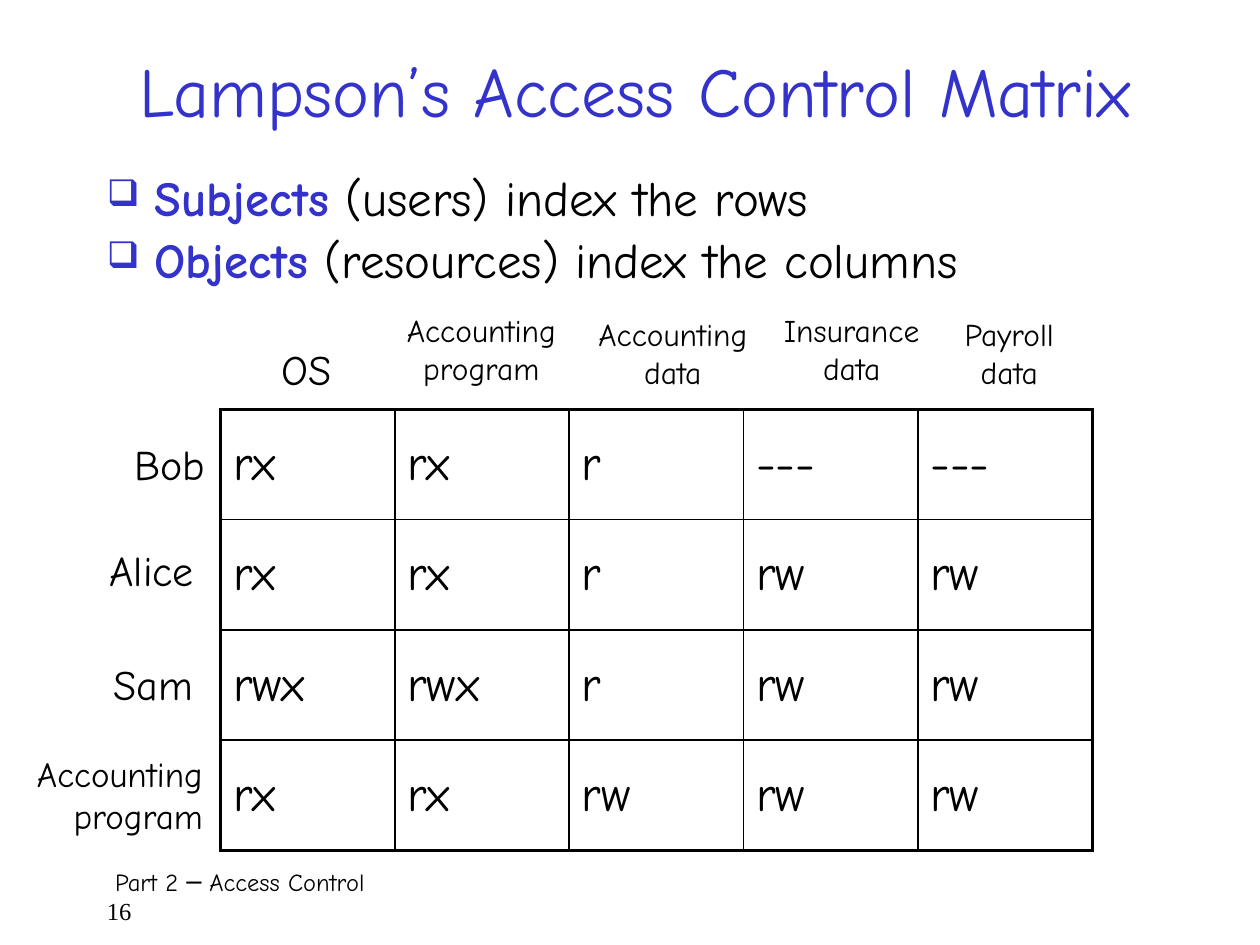
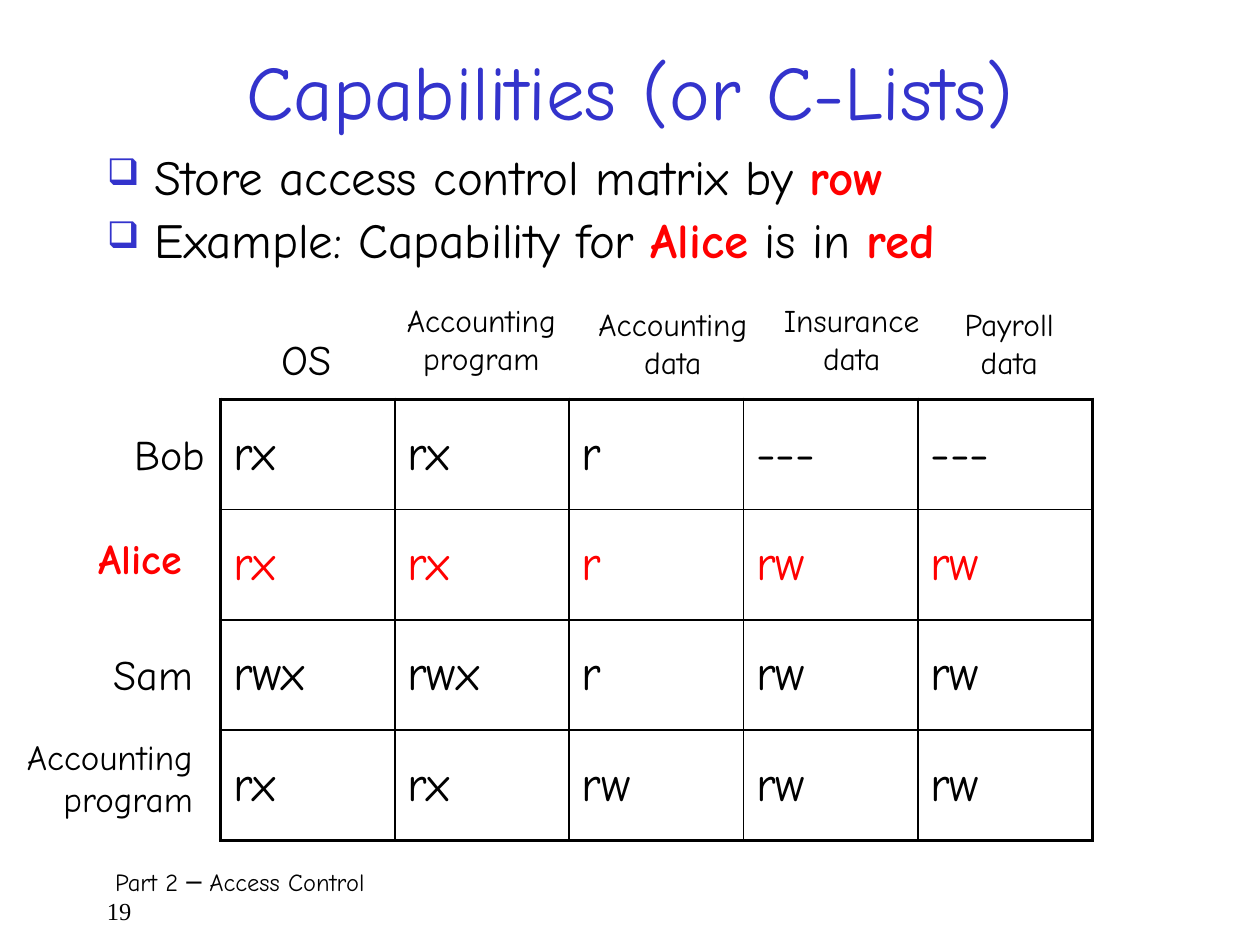
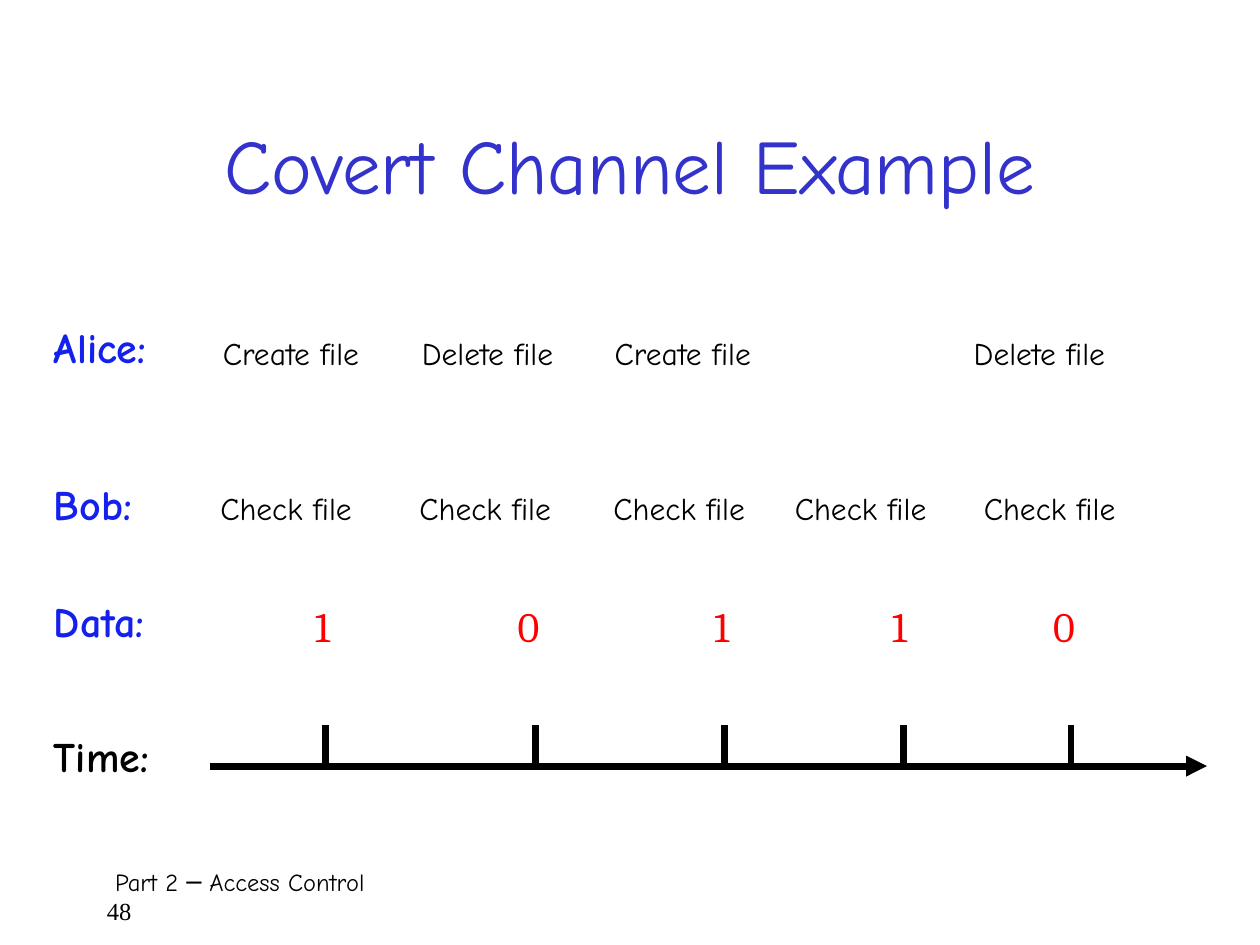
"""Build three access control slides: two access matrices and a covert channel timeline."""
from lxml.etree import SubElement
from pptx import Presentation
from pptx.dml.color import RGBColor
from pptx.enum.shapes import MSO_CONNECTOR
from pptx.enum.text import MSO_ANCHOR, MSO_AUTO_SIZE, PP_ALIGN
from pptx.oxml.ns import qn
from pptx.util import Inches, Pt

BLACK = RGBColor(0x00, 0x00, 0x00)
INDIGO = RGBColor(0x33, 0x33, 0xCC)
BLUE = RGBColor(0x13, 0x20, 0xEE)
RED = RGBColor(0xFF, 0x00, 0x00)
BASE = {"name": "Comic Neue", "size": 18, "bold": False, "color": BLACK}
STRONG = {"bold": True, "color": INDIGO}
ALERT = {"bold": True, "color": RED}
LEFT, CENTER, RIGHT = PP_ALIGN.LEFT, PP_ALIGN.CENTER, PP_ALIGN.RIGHT


def write_text(tf, paragraphs, align=LEFT, **fmt):
    """Fill a text frame with paragraphs, each a list of (text, format) runs."""
    for i, runs in enumerate(paragraphs):
        p = tf.paragraphs[0] if i == 0 else tf.add_paragraph()
        p.alignment = align
        for text, extra in runs:
            r = p.add_run()
            r.text = text
            values = {**BASE, **fmt, **extra}
            r.font.color.rgb = values.pop("color")
            values["size"] = Pt(values["size"])
            for key, value in values.items():
                setattr(r.font, key, value)


def add_text(s, box, paragraphs, wrap=False, anchor=MSO_ANCHOR.TOP, **fmt):
    """Add a text box that either wraps or grows to fit its text."""
    tf = s.shapes.add_textbox(*map(Inches, box)).text_frame
    tf.word_wrap = wrap
    tf.auto_size = MSO_AUTO_SIZE.NONE if wrap else MSO_AUTO_SIZE.SHAPE_TO_FIT_TEXT
    tf.vertical_anchor = anchor
    write_text(tf, paragraphs, **fmt)
    return tf


prs = Presentation()
prs.slide_width, prs.slide_height = Inches(10), Inches(7.5)

HEADERS = [
    ("Lampson’s Access Control Matrix", (0.33, 0.25, 9.42, 0.92), 40, "16"),
    ("Capabilities (or C-Lists)", (0.75, 0.17, 8.5, 1.08), 44, "19"),
    ("Covert Channel Example", (0.75, 0.67, 8.5, 1.25), 44, "48"),
]
slides = []
for title, box, size, number in HEADERS:
    s = prs.slides.add_slide(prs.slide_layouts[6])
    footer = [[(" Part 2 ─ Access Control", {})], [(number, {"name": "Times New Roman"})]]
    add_text(s, (0.75, 6.83, 8.58, 0.5), footer, wrap=True, size=14)
    add_text(s, box, [[(title, {})]], wrap=True, anchor=MSO_ANCHOR.MIDDLE,
             align=CENTER, size=size, color=INDIGO)
    slides.append(s)

RIGHTS = [
    ["rx", "rx", "r", "---", "---"],
    ["rx", "rx", "r", "rw", "rw"],
    ["rwx", "rwx", "r", "rw", "rw"],
    ["rx", "rx", "rw", "rw", "rw"],
]
OBJECTS = [
    (2.08, -0.57, 0.7, ["OS"], 24),
    (3.08, -0.83, 1.48, ["Accounting", "program"], 18),
    (4.6, -0.8, 1.48, ["Accounting", "data"], 18),
    (6.08, -0.83, 1.36, ["Insurance", "data"], 18),
    (7.52, -0.8, 0.98, ["Payroll", "data"], 18),
]
MATRICES = [
    {"top": 3.25, "body": (0.75, 1.33, 8.75, 1.08), "red_row": None,
     "alice": (0.77, 1.02, 0.98), "program": (0.08, 2.67, 1.63),
     "bullets": [[("Subjects", STRONG), (" (users) index the rows", {})],
                 [("Objects", STRONG), (" (resources) index the columns", {})]]},
    {"top": 3.17, "body": (0.75, 1.17, 8.5, 1.25), "red_row": 1,
     "alice": (0.68, 1.01, 0.99), "program": (0, 2.62, 1.63),
     "bullets": [[("Store access control matrix by ", {}), ("row", ALERT)],
                 [("Example: Capability for ", {}), ("Alice", ALERT),
                  (" is in ", {}), ("red", ALERT)]]},
]
for s, m in zip(slides, MATRICES):
    tf = add_text(s, m["body"], m["bullets"], wrap=True, size=28)
    for p in tf.paragraphs:
        p.line_spacing, p.space_before = 0.9, Pt(5.6)
        pPr = p._p.get_or_add_pPr()
        pPr.set("marL", str(Inches(0.38)))
        pPr.set("indent", str(-Inches(0.38)))
        SubElement(SubElement(pPr, qn("a:buClr")), qn("a:srgbClr"), val=str(INDIGO))
        SubElement(pPr, qn("a:buSzPct"), val="75000")
        SubElement(pPr, qn("a:buChar"), char="❑")

    rows, cols = len(RIGHTS), len(RIGHTS[0])
    frame = s.shapes.add_table(rows, cols, Inches(1.75), Inches(m["top"]), Inches(6.92), Inches(3.5))
    table = frame.table
    table.first_row = table.horz_banding = False
    for i, row in enumerate(RIGHTS):
        for j, right in enumerate(row):
            cell = table.cell(i, j)
            cell.vertical_anchor = MSO_ANCHOR.MIDDLE
            color = RED if i == m["red_row"] else BLACK
            write_text(cell.text_frame, [[(right, {})]], size=28, color=color)
            cell.text_frame.paragraphs[0].space_before = Pt(5.6)
            tcPr = cell._tc.get_or_add_tcPr()
            outer = {"lnL": j == 0, "lnR": j == cols - 1, "lnT": i == 0, "lnB": i == rows - 1}
            for side, is_outer in outer.items():
                ln = SubElement(tcPr, qn(f"a:{side}"), w=str(Pt(2.25 if is_outer else 1)))
                SubElement(SubElement(ln, qn("a:solidFill")), qn("a:srgbClr"), val=str(BLACK))
            cell.fill.background()

    for x, dy, w, lines, size in OBJECTS:
        add_text(s, (x, m["top"] + dy, w, 0.8 if len(lines) > 1 else 0.57),
                 [[(line, {})] for line in lines], align=CENTER, size=size)
    alice_format = {} if m["red_row"] is None else ALERT
    subjects = [("Bob", (0.97, 0.18, 0.78), {}), ("Alice", m["alice"], alice_format),
                ("Sam", (0.8, 1.93, 0.86), {})]
    for name, (x, dy, w), extra in subjects:
        add_text(s, (x, m["top"] + dy, w, 0.57), [[(name, extra)]], size=24)
    x, dy, w = m["program"]
    add_text(s, (x, m["top"] + dy, w, 0.88), [[("Accounting", {})], [("program", {})]],
             align=RIGHT, size=20)

s = slides[2]
ROW_LABELS = [("Alice:", 2.5, 1.13, BLUE), ("Bob:", 3.75, 0.93, BLUE),
              ("Data:", 4.68, 1.11, BLUE), ("Time:", 5.75, 1.12, BLACK)]
for label, y, w, color in ROW_LABELS:
    add_text(s, (0.33, y, w, 0.57), [[(label, {})]], size=24, bold=True, color=color)

STEPS = [
    ("Create file", 1.67, 1.65, "1", 2.4, 2.58),
    ("Delete file", 3.25, 3.23, "0", 4.01, 4.25),
    ("Create file", 4.78, 4.77, "1", 5.57, 5.75),
    (None, None, 6.21, "1", 6.98, 7.17),
    ("Delete file", 7.63, 7.71, "0", 8.26, 8.5),
]
time_lines = [(1.67, 6.08, 9.58, 6.08)]
for action, action_x, check_x, bit, bit_x, tick_x in STEPS:
    if action:
        add_text(s, (action_x, 2.6, 1.47, 0.45), [[(action, {})]])
    add_text(s, (check_x, 3.83, 1.37, 0.45), [[("Check file", {})]])
    add_text(s, (bit_x, 4.72, 0.39, 0.5), [[(bit, {})]], name="Cambria", size=24, color=RED)
    time_lines.append((tick_x, 6.08, tick_x, 5.75))

for i, ends in enumerate(time_lines):
    line = s.shapes.add_connector(MSO_CONNECTOR.STRAIGHT, *map(Inches, ends))
    line.line.color.rgb = BLACK
    line.line.width = Pt(4)
    if i == 0:
        SubElement(line.line._get_or_add_ln(), qn("a:tailEnd"), type="triangle")
    SubElement(line._element.spPr, qn("a:effectLst"))

prs.save("out.pptx")
